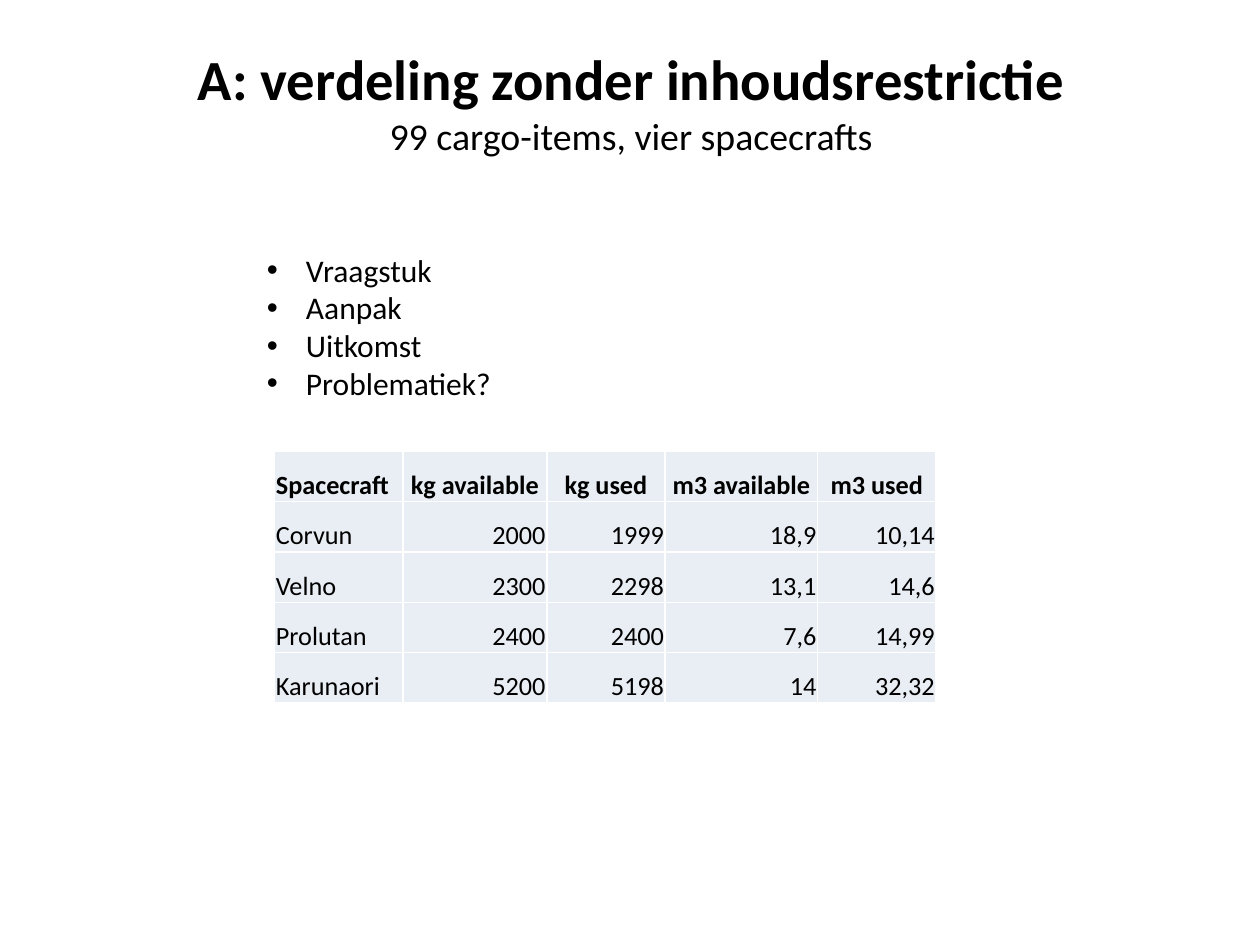
from dataclasses import dataclass

import pptx
import pptx.dml.color
import pptx.enum.text
import pptx.oxml
import pptx.oxml.ns
import pptx.util

Inches = pptx.util.Inches
Align = pptx.enum.text.PP_ALIGN
Anchor = pptx.enum.text.MSO_ANCHOR
BLACK, WHITE, PALE = "000000", "FFFFFF", "E9EDF4"


@dataclass
class Craft:
    name: str
    values: tuple[str, str, str, str]


HEADS = ("Spacecraft", "kg available", "kg used", "m3 available", "m3 used")
WIDTHS = (1.02, 1.14, 0.94, 1.21, 0.94)
CRAFTS = (
    Craft("Corvun", ("2000", "1999", "18,9", "10,14")),
    Craft("Velno", ("2300", "2298", "13,1", "14,6")),
    Craft("Prolutan", ("2400", "2400", "7,6", "14,99")),
    Craft("Karunaori", ("5200", "5198", "14", "32,32")),
)
TOPICS = ("Vraagstuk", "Aanpak", "Uitkomst", "Problematiek?")


def paint(fmt, tone: str) -> None:
    fmt.solid()
    fmt.fore_color.rgb = pptx.dml.color.RGBColor.from_string(tone)


def style(run, size: float, bold: bool = False) -> None:
    run.font.name = "Calibri"
    run.font.size = pptx.util.Pt(size)
    run.font.bold = bold
    paint(run.font.fill, BLACK)


def make_box(slide, left: float, top: float, width: float, height: float):
    box = slide.shapes.add_textbox(
        Inches(left), Inches(top), Inches(width), Inches(height))
    box.text_frame.word_wrap = True
    return box.text_frame


def add_title(slide) -> None:
    frame = make_box(slide, 0.51, 0.44, 9, 1.25)
    frame.vertical_anchor = Anchor.MIDDLE
    frame.margin_top, frame.margin_bottom = 0, Inches(0.53)
    para = frame.paragraphs[0]
    para.text = "A: verdeling zonder inhoudsrestrictie\v99 cargo-items, vier spacecrafts"
    para.alignment = Align.CENTER
    head, sub = para.runs
    style(head, 32.4, True)
    style(sub, 21.6)


def add_topics(slide) -> None:
    frame = make_box(slide, 2.02, 1.94, 6.85, 1.62)
    frame.text = "\n".join(TOPICS)
    for para in frame.paragraphs:
        style(para.runs[0], 18)
        props = para._p.get_or_add_pPr()
        props.set("marL", str(Inches(0.31)))
        props.set("indent", str(Inches(-0.31)))
        for tag, key, value in (("buFont", "typeface", "Arial"), ("buChar", "char", "•")):
            node = pptx.oxml.parse_xml(f'<a:{tag} {pptx.oxml.ns.nsdecls("a")}/>')
            node.set(key, value)
            props.append(node)


def set_edges(cell) -> None:
    props = cell._tc.get_or_add_tcPr()
    for index, side in enumerate("LRTB"):
        props.insert(index, pptx.oxml.parse_xml(
            f'<a:ln{side} {pptx.oxml.ns.nsdecls("a")} w="{pptx.util.Pt(1)}">'
            f'<a:solidFill><a:srgbClr val="{WHITE}"/></a:solidFill></a:ln{side}>'))


def fill_cell(cell, text: str, align, bold: bool) -> None:
    set_edges(cell)
    paint(cell.fill, PALE)
    cell.vertical_anchor = Anchor.BOTTOM
    cell.margin_left = cell.margin_right = cell.margin_top = Inches(0.01)
    cell.margin_bottom = 0
    para = cell.text_frame.paragraphs[0]
    para.text = text
    para.alignment = align
    style(para.runs[0], 15, bold)


def add_grid(slide) -> None:
    rows = [HEADS] + [(craft.name, *craft.values) for craft in CRAFTS]
    table = slide.shapes.add_table(
        len(rows), len(HEADS), Inches(2.18), Inches(3.58),
        Inches(sum(WIDTHS)), Inches(0.4 * len(rows))).table
    for col, width in zip(table.columns, WIDTHS):
        col.width = Inches(width)
    for i, row in enumerate(rows):
        for j, text in enumerate(row):
            align = Align.LEFT if j == 0 else Align.RIGHT if i else Align.CENTER
            fill_cell(table.cell(i, j), text, align, i == 0)


def main() -> None:
    """Build the slide on cargo spread over four spacecraft."""
    deck = pptx.Presentation()
    deck.slide_width, deck.slide_height = Inches(10), Inches(7.5)
    slide = deck.slides.add_slide(deck.slide_layouts[6])
    paint(slide.background.fill, WHITE)
    add_title(slide)
    add_grid(slide)
    add_topics(slide)
    deck.save("out.pptx")


if __name__ == "__main__":
    main()
